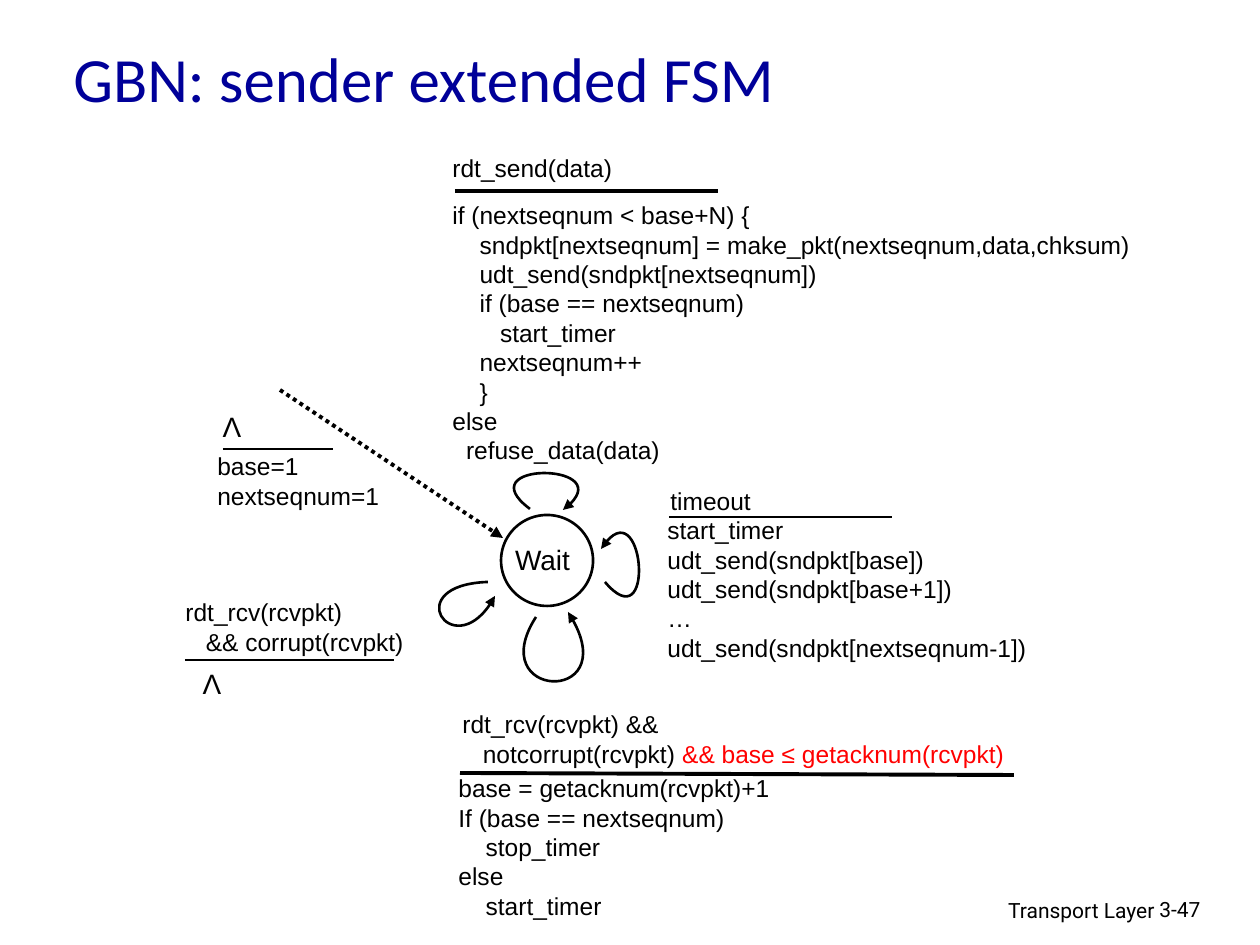
from dataclasses import dataclass

from lxml.etree import SubElement
from pptx import Presentation
from pptx.dml.color import RGBColor
from pptx.enum.dml import MSO_LINE
from pptx.enum.shapes import MSO_CONNECTOR, MSO_SHAPE
from pptx.enum.text import MSO_ANCHOR, PP_ALIGN
from pptx.oxml.ns import qn
from pptx.util import Pt

PX = 914400 / 126  # EMU in one px


@dataclass(frozen=True)
class Theme:
    ink: str = "000000"
    navy: str = "000099"
    red: str = "FF0000"
    paper: str = "FFFFFF"
    head: int = 36
    state: int = 16
    code: int = 14
    foot: int = 12
    thin: float = 1.5
    thick: float = 2.25


T = Theme()


def emu(*vals):
    return [round(v * PX) for v in vals]


def add_text(slide, box, lines, size=T.code, font="Arial", color=T.ink,
             align=PP_ALIGN.LEFT, anchor=MSO_ANCHOR.TOP, wrap=True):
    """Each line is a string or a list of (string, colour) runs."""
    frame = slide.shapes.add_textbox(*emu(*box)).text_frame
    frame.word_wrap = wrap
    frame.vertical_anchor = anchor
    for i, line in enumerate(lines):
        para = frame.add_paragraph() if i else frame.paragraphs[0]
        para.alignment = align
        for text, tint in [(line, color)] if isinstance(line, str) else line:
            run = para.add_run()
            run.text = text
            run.font.name = font
            run.font.size = Pt(size)
            run.font.color.rgb = RGBColor.from_string(tint)


def ink_line(line, width, arrow=False):
    line.color.rgb = RGBColor.from_string(T.ink)
    line.width = Pt(width)
    if arrow:
        SubElement(line._get_or_add_ln(), qn("a:tailEnd"), type="triangle")


def add_line(slide, ends, width=T.thin, dots=False):
    link = slide.shapes.add_connector(MSO_CONNECTOR.STRAIGHT, *emu(*ends))
    if dots:
        link.line.dash_style = MSO_LINE.ROUND_DOT
    ink_line(link.line, width, arrow=dots)
    SubElement(link._element.spPr, qn("a:effectLst"))


def add_loop(slide, *points):
    """Draw a cubic curve: start, two control points, end."""
    start, *rest = [tuple(emu(*p)) for p in points]
    build = slide.shapes.build_freeform(*start, scale=1.0)
    build.add_line_segments(rest, close=False)
    loop = build.convert_to_shape()
    loop.shadow.inherit = False
    loop.fill.background()
    ink_line(loop.line, T.thin, arrow=True)
    # Turn the three straight steps into one curve
    track = next(loop._element.iter(qn("a:path")))
    steps = track.findall(qn("a:lnTo"))
    curve = SubElement(track, qn("a:cubicBezTo"))
    for step in steps:
        curve.append(step[0])
        track.remove(step)


def add_state(slide, box, label_box, name):
    ring = slide.shapes.add_shape(MSO_SHAPE.OVAL, *emu(*box))
    ring.shadow.inherit = False
    ring.fill.solid()
    ring.fill.fore_color.rgb = RGBColor.from_string(T.paper)
    ink_line(ring.line, T.thin)
    add_text(slide, label_box, [name], T.state, align=PP_ALIGN.CENTER)


def add_lambda(slide, left, top):
    add_text(slide, (left, top, 44, 47), ["Λ"], T.state,
             align=PP_ALIGN.CENTER, wrap=False)


def main():
    deck = Presentation()
    deck.slide_width, deck.slide_height = emu(1260, 945)
    slide = deck.slides.add_slide(deck.slide_layouts[6])

    # Title and footer
    add_text(slide, (61, 29, 1071, 97), ["GBN: sender extended FSM"], T.head,
             "Calibri", T.navy, anchor=MSO_ANCHOR.MIDDLE)
    add_text(slide, (768, 891, 399, 39), ["Transport Layer"], T.foot,
             "Roboto", align=PP_ALIGN.RIGHT)
    add_text(slide, (1147, 890, 93, 38), ["3-47"], T.foot, "Roboto")

    # The one state
    add_state(slide, (501, 515, 92, 91), (487, 536, 111, 33), "Wait")

    # Start
    add_line(slide, (280, 390, 503, 538), T.thick, dots=True)
    add_lambda(slide, 210, 403)
    add_line(slide, (223, 449, 333, 449))
    add_text(slide, (205, 445, 204, 69), ["base=1", "nextseqnum=1"])

    # Data to send
    add_loop(slide, (530, 509), (467, 462), (627, 462), (563, 510))
    add_text(slide, (440, 147, 321, 35), ["rdt_send(data)"])
    add_line(slide, (455, 191, 718, 191), T.thick)
    add_text(slide, (440, 194, 761, 202), [
        "if (nextseqnum < base+N) {",
        "    sndpkt[nextseqnum] = make_pkt(nextseqnum,data,chksum)",
        "    udt_send(sndpkt[nextseqnum])",
        "    if (base == nextseqnum)",
        "       start_timer",
        "    nextseqnum++",
        "    }",
        "else",
        "  refuse_data(data)",
    ])

    # Timeout
    add_loop(slide, (605, 582), (655, 641), (644, 483), (601, 549))
    add_text(slide, (658, 480, 151, 38), ["timeout"])
    add_line(slide, (669, 517, 892, 517))
    add_text(slide, (655, 509, 433, 115), [
        "start_timer",
        "udt_send(sndpkt[base])",
        "udt_send(sndpkt[base+1])",
        "…",
        "udt_send(sndpkt[nextseqnum-1])",
    ])

    # Good packet received
    add_loop(slide, (536, 617), (483, 699), (629, 706), (568, 612))
    add_text(slide, (450, 703, 585, 62), [
        "rdt_rcv(rcvpkt) &&",
        [("   notcorrupt(rcvpkt) ", T.ink),
         ("&& base ≤ getacknum(rcvpkt)", T.red)],
    ])
    add_line(slide, (460, 773, 1014, 775), T.thick)
    add_text(slide, (446, 767, 508, 115), [
        "base = getacknum(rcvpkt)+1",
        "If (base == nextseqnum)",
        "    stop_timer",
        "else",
        "    start_timer",
    ])

    # Corrupt packet received
    add_loop(slide, (488, 582), (399, 585), (456, 669), (495, 596))
    add_text(slide, (173, 591, 282, 62),
             ["rdt_rcv(rcvpkt)", "   && corrupt(rcvpkt)"])
    add_line(slide, (185, 660, 394, 660))
    add_lambda(slide, 190, 660)

    deck.save("out.pptx")


if __name__ == "__main__":
    main()
